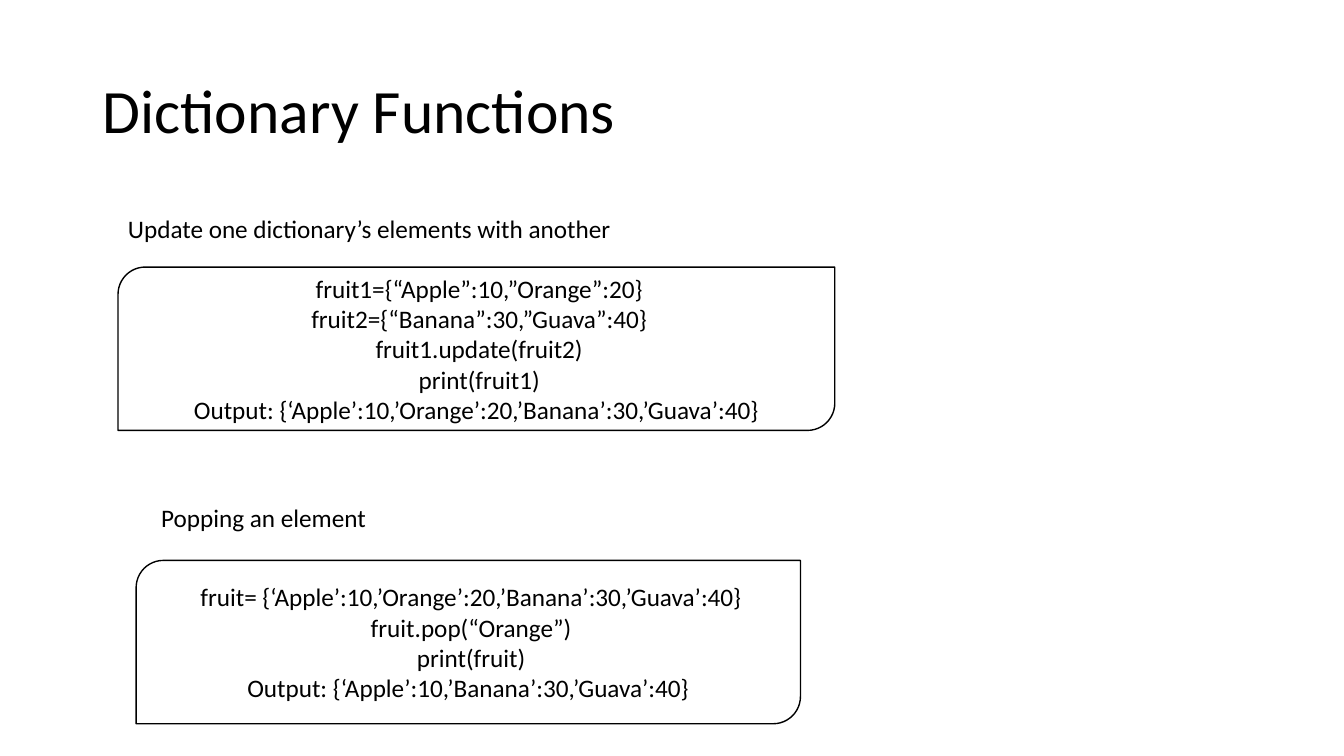
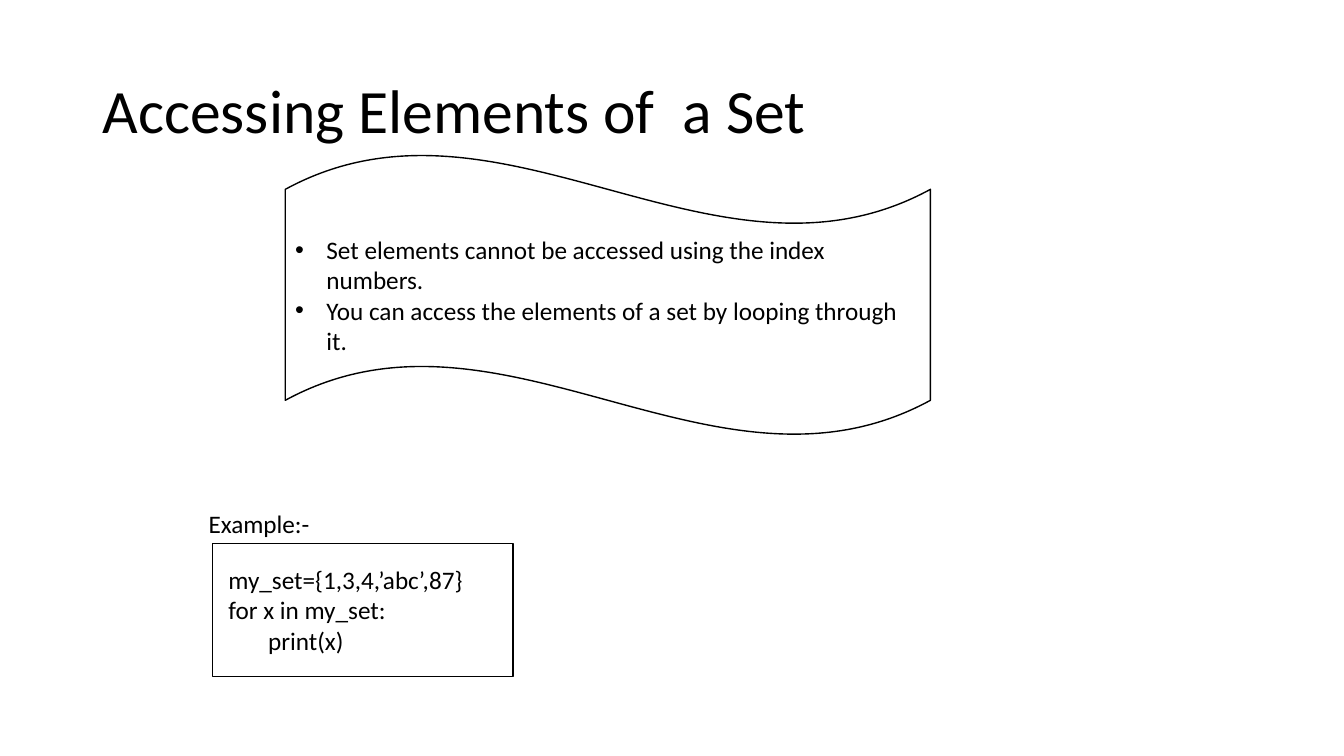
import dataclasses

import lxml.etree
import pptx
import pptx.dml.color
import pptx.enum.shapes
import pptx.enum.text
import pptx.oxml.ns
import pptx.util

SHAPE = pptx.enum.shapes.MSO_SHAPE
ALIGN = pptx.enum.text.PP_ALIGN
ANCHOR = pptx.enum.text.MSO_ANCHOR


@dataclasses.dataclass(frozen=True)
class Theme:
    ink: pptx.dml.color.RGBColor = pptx.dml.color.RGBColor(0, 0, 0)
    paper: pptx.dml.color.RGBColor = pptx.dml.color.RGBColor(255, 255, 255)
    font: str = "Calibri"
    title_size: int = 44
    body_size: int = 18
    outline: int = 1
    bullet_indent: float = 0.31


THEME = Theme()
WIDTH = pptx.util.Inches(13.33)
HEIGHT = pptx.util.Inches(7.5)

# Shared heights and the title area, in percent of the slide
TITLE_AREA = (6.9, 5.33, 86.25, 19.33)
CAPTION_HEIGHT = 5.33
CODE_HEIGHT = 21.6


def area(left, top, width, height):
    """Turn percentages of the slide into lengths."""
    return (int(WIDTH * left / 100), int(HEIGHT * top / 100),
            int(WIDTH * width / 100), int(HEIGHT * height / 100))


def style(para, size, align=ALIGN.LEFT):
    para.alignment = align
    para.font.name = THEME.font
    para.font.size = pptx.util.Pt(size)
    para.font.color.rgb = THEME.ink


def add_bullet(para):
    indent = pptx.util.Inches(THEME.bullet_indent)
    properties = para._p.get_or_add_pPr()
    properties.set("marL", str(indent))
    properties.set("indent", str(-indent))
    for tag, name, value in (("a:buFont", "typeface", "Arial"),
                             ("a:buChar", "char", "•")):
        mark = lxml.etree.SubElement(properties, pptx.oxml.ns.qn(tag))
        mark.set(name, value)


def add_title(page, text):
    frame = page.shapes.add_textbox(*area(*TITLE_AREA)).text_frame
    frame.word_wrap = True
    frame.vertical_anchor = ANCHOR.MIDDLE
    para = frame.paragraphs[0]
    para.text = text
    para.line_spacing = 0.9
    style(para, THEME.title_size)


def add_caption(page, text, left, top, width):
    box = page.shapes.add_textbox(*area(left, top, width, CAPTION_HEIGHT))
    frame = box.text_frame
    frame.word_wrap = False
    frame.auto_size = pptx.enum.text.MSO_AUTO_SIZE.SHAPE_TO_FIT_TEXT
    frame.text = text
    style(frame.paragraphs[0], THEME.body_size)


def add_panel(page, kind, place, lines, align=ALIGN.LEFT, bullets=False):
    """Add an outlined shape with one paragraph for each line."""
    panel = page.shapes.add_shape(kind, *area(*place))
    panel.shadow.inherit = False
    panel.fill.solid()
    panel.fill.fore_color.rgb = THEME.paper
    panel.line.color.rgb = THEME.ink
    panel.line.width = pptx.util.Pt(THEME.outline)
    frame = panel.text_frame
    frame.word_wrap = True
    frame.vertical_anchor = ANCHOR.MIDDLE
    frame.text = "\n".join(lines)
    for para in frame.paragraphs:
        if bullets:
            add_bullet(para)
        style(para, THEME.body_size, align)


def add_page(deck, title):
    page = deck.slides.add_slide(deck.slide_layouts[6])
    add_title(page, title)
    return page


def build_dictionary_page(deck):
    page = add_page(deck, "Dictionary Functions")
    # Updating
    add_caption(page, "Update one dictionary’s elements with another",
                8.78, 27.6, 37.88)
    add_panel(page, SHAPE.ROUND_2_DIAG_RECTANGLE,
              (8.78, 35.33, 53.33, CODE_HEIGHT),
              [" fruit1={“Apple”:10,”Orange”:20}",
               " fruit2={“Banana”:30,”Guava”:40}",
               " fruit1.update(fruit2)",
               " print(fruit1)",
               "Output: {‘Apple’:10,’Orange’:20,’Banana’:30,’Guava’:40}"],
              ALIGN.CENTER)
    # Popping
    add_caption(page, "Popping an element", 11.25, 65.73, 16.95)
    add_panel(page, SHAPE.ROUND_2_DIAG_RECTANGLE,
              (10.13, 74.13, 49.43, CODE_HEIGHT),
              [" fruit= {‘Apple’:10,’Orange’:20,’Banana’:30,’Guava’:40}",
               " fruit.pop(“Orange”)",
               " print(fruit)",
               "Output: {‘Apple’:10,’Banana’:30,’Guava’:40}"],
              ALIGN.CENTER)


def build_set_page(deck):
    page = add_page(deck, "Accessing Elements of  a Set")
    # Rules
    add_panel(page, SHAPE.WAVE, (21.23, 20.4, 48, 37.2),
              ["Set elements cannot be accessed using the index numbers.",
               "You can access the elements of a set by looping through it."],
              bullets=True)
    # Example
    add_caption(page, "Example:-", 14.78, 66.53, 9.08)
    add_panel(page, SHAPE.RECTANGLE, (15.83, 71.87, 22.35, 17.6),
              [" my_set={1,3,4,’abc’,87}",
               " for x in my_set:",
               "        print(x)"])


def main():
    deck = pptx.Presentation()
    deck.slide_width, deck.slide_height = WIDTH, HEIGHT
    build_dictionary_page(deck)
    build_set_page(deck)
    deck.save("out.pptx")


if __name__ == "__main__":
    main()
